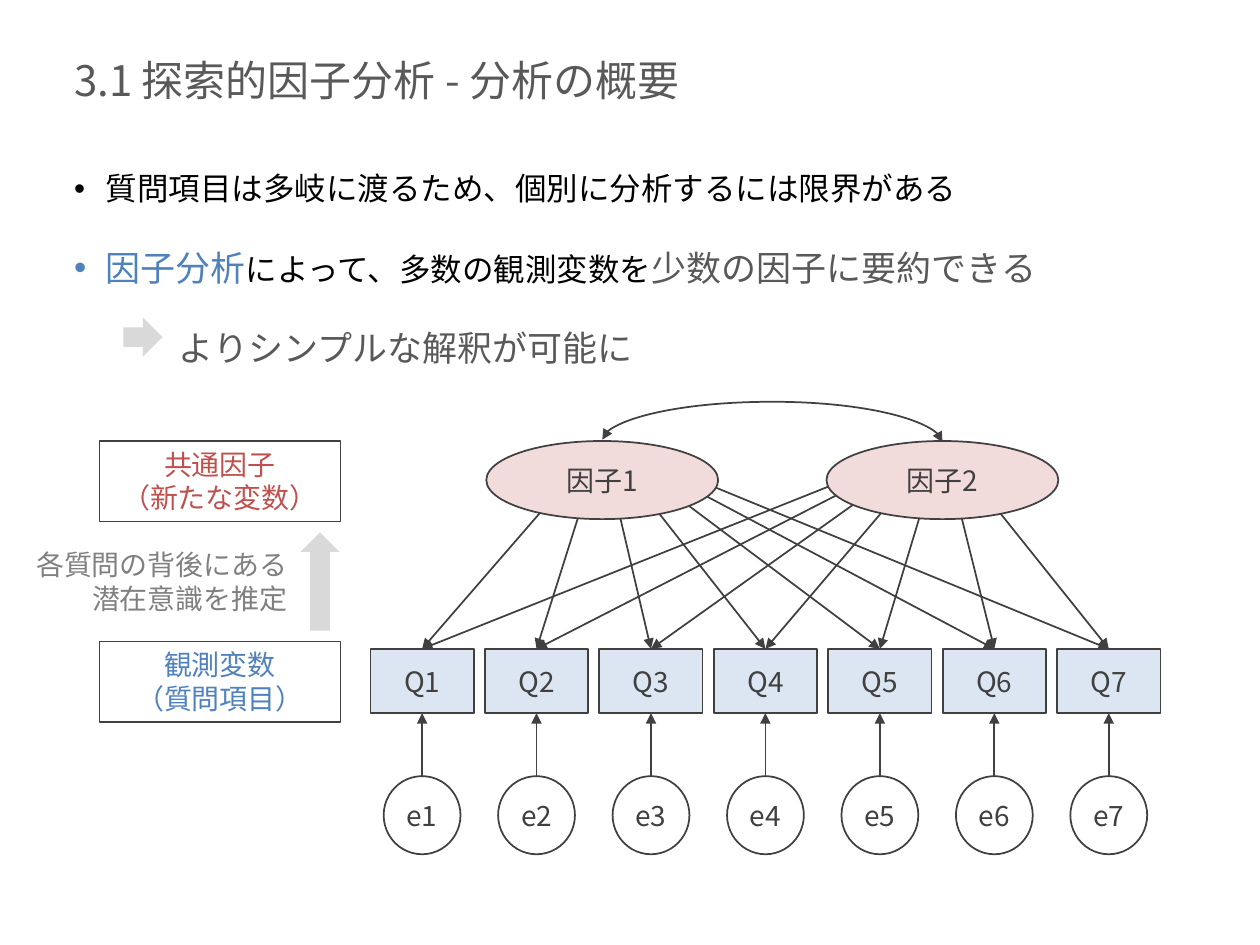
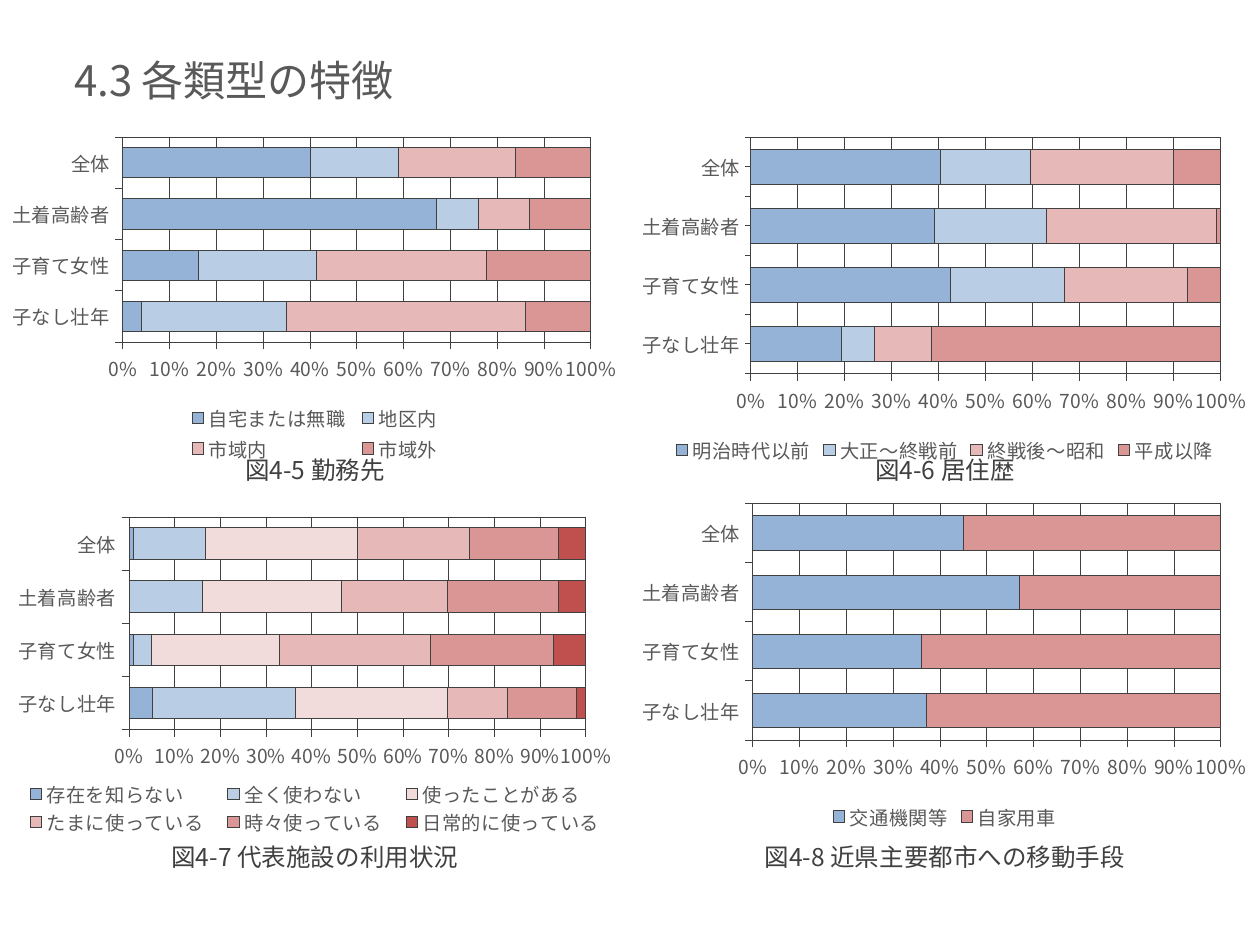
from lxml import etree
from pptx import Presentation
from pptx.chart.data import CategoryChartData
from pptx.dml.color import RGBColor
from pptx.enum.chart import XL_CHART_TYPE, XL_LEGEND_POSITION, XL_TICK_MARK
from pptx.enum.shapes import MSO_CONNECTOR, MSO_SHAPE
from pptx.enum.text import MSO_ANCHOR, PP_ALIGN
from pptx.oxml import parse_xml
from pptx.oxml.ns import nsdecls, qn
from pptx.util import Inches, Pt

FONT = "Noto Sans CJK JP"
WIDTH, HEIGHT = 10, 7.5

BLACK = RGBColor(0x00, 0x00, 0x00)
INK = RGBColor(0x40, 0x40, 0x40)
TEXT = RGBColor(0x59, 0x59, 0x59)
MUTED = RGBColor(0x80, 0x80, 0x80)
ARROW = RGBColor(0xD9, 0xD9, 0xD9)
WHITE = RGBColor(0xFF, 0xFF, 0xFF)
BLUE = RGBColor(0x4F, 0x81, 0xBD)
BLUE_MID = RGBColor(0x95, 0xB3, 0xD7)
BLUE_LIGHT = RGBColor(0xB9, 0xCD, 0xE5)
BLUE_PALE = RGBColor(0xDC, 0xE6, 0xF2)
RED = RGBColor(0xC0, 0x50, 0x4D)
RED_MID = RGBColor(0xD9, 0x96, 0x94)
RED_LIGHT = RGBColor(0xE6, 0xB9, 0xB8)
RED_PALE = RGBColor(0xF2, 0xDC, 0xDB)

LEFT, CENTER, RIGHT = PP_ALIGN.LEFT, PP_ALIGN.CENTER, PP_ALIGN.RIGHT
TOP, MIDDLE = MSO_ANCHOR.TOP, MSO_ANCHOR.MIDDLE
RECT, OVAL, BLOCK_ARROW = MSO_SHAPE.RECTANGLE, MSO_SHAPE.OVAL, MSO_SHAPE.RIGHT_ARROW
STRAIGHT, CURVE = MSO_CONNECTOR.STRAIGHT, MSO_CONNECTOR.CURVE
TICK_OUT, TICK_NONE = XL_TICK_MARK.OUTSIDE, XL_TICK_MARK.NONE

# Slide 1: a paragraph is (line spacing, indent, has bullet, spans of text, size, colour)
OVERVIEW_TITLE = "3.1 探索的因子分析 - 分析の概要"
OVERVIEW = [
    (0.9, 0.25, True, [("質問項目は多岐に渡るため、個別に分析するには限界がある", 18, BLACK)]),
    (1.5, 0.25, True, [("因子分析", 20, BLUE),
                       ("によって、多数の観測変数を", 18, BLACK),
                       ("少数の因子に要約できる", 20, TEXT)]),
    (1.5, 0.83, False, [("よりシンプルな解釈が可能に", 20, TEXT)]),
]
FACTORS = [("因子1", 4.78), ("因子2", 7.48)]
QUESTION_COUNT = 7
FIRST_CENTER, LAST_CENTER = 3.35, 8.8
FACTOR_TOP, QUESTION_TOP, ERROR_TOP = 3.5, 5.15, 6.16
FACTOR_SIZE, QUESTION_SIZE, ERROR_SIZE = (1.84, 0.62), (0.82, 0.51), (0.61, 0.62)
LABELS = [
    (["共通因子", "（新たな変数）"], RED, 3.5),
    (["観測変数", "（質問項目）"], BLUE, 5.09),
]
ESTIMATE = ["各質問の背後にある", "潜在意識を推定"]

# Slide 2: layouts are shares of the chart's size (left, top, width, height)
TYPES_TITLE = "4.3 各類型の特徴"
GROUPS = ["子なし壮年", "子育て女性", "土着高齢者", "全体"]
CHART_TOPS, CAPTION_TOPS = (1.04, 3.95), (3.56, 6.63)
CHARTS = [
    dict(caption="図4-5 勤務先", column=0, row=0, height=2.68, tick=TICK_OUT,
         plot=(0.195, 0.018, 0.743, 0.607), legend=(0.29, 0.8, 0.42, 0.19),
         series=[("自宅または無職", BLUE_MID, (4, 16, 67, 40)),
                 ("地区内", BLUE_LIGHT, (31, 25, 9, 19)),
                 ("市域内", RED_LIGHT, (51, 36, 11, 25)),
                 ("市域外", RED_MID, (14, 22, 13, 16))]),
    dict(caption="図4-6 居住歴", column=1, row=0, height=2.68, tick=TICK_NONE,
         plot=(0.192, 0.018, 0.746, 0.7), legend=None,
         series=[("明治時代以前", BLUE_MID, (19, 42, 39, 40)),
                 ("大正～終戦前", BLUE_LIGHT, (7, 24, 24, 19)),
                 ("終戦後～昭和", RED_LIGHT, (12, 26, 36, 30)),
                 ("平成以降", RED_MID, (61, 7, 1, 10))]),
    dict(caption="図4-8 近県主要都市への移動手段", column=1, row=1, height=2.68, tick=TICK_OUT,
         plot=(0.195, 0.018, 0.743, 0.7), legend=None,
         series=[("交通機関等", BLUE_MID, (37, 36, 57, 45)),
                 ("自家用車", RED_MID, (63, 64, 43, 55))]),
    dict(caption="図4-7 代表施設の利用状況", column=0, row=1, height=2.95, tick=TICK_OUT,
         plot=(0.205, 0.052, 0.725, 0.571), legend=(0.02, 0.76, 0.96, 0.15),
         series=[("存在を知らない", BLUE_MID, (5, 1, 0, 1)),
                 ("全く使わない", BLUE_LIGHT, (31, 4, 16, 16)),
                 ("使ったことがある", RED_PALE, (33, 28, 30, 34)),
                 ("たまに使っている", RED_LIGHT, (13, 33, 23, 25)),
                 ("時々使っている", RED_MID, (15, 27, 24, 20)),
                 ("日常的に使っている", RED, (2, 7, 6, 6))]),
]


def set_font(font, size, color):
    font.size, font.name = Pt(size), FONT
    font.color.rgb = color


def add_span(para, text, size, color):
    span = para.add_run()
    span.text = text
    set_font(span.font, size, color)
    east_asian = etree.SubElement(span.font._element, qn("a:ea"))
    east_asian.set("typeface", FONT)


def write_lines(frame, lines, size, color, align=CENTER, anchor=MIDDLE):
    frame.word_wrap = True
    frame.vertical_anchor = anchor
    for index, line in enumerate(lines):
        para = frame.add_paragraph() if index else frame.paragraphs[0]
        para.alignment = align
        add_span(para, line, size, color)


def add_box(page, left, top, width, height):
    return page.shapes.add_textbox(Inches(left), Inches(top), Inches(width), Inches(height))


def add_title(page, text):
    frame = add_box(page, 0.49, 0.4, 8.62, 0.52).text_frame
    write_lines(frame, [text], 24, TEXT, LEFT)
    frame.paragraphs[0].line_spacing = 0.9


def add_figure(page, kind, left, top, size, fill=None, line=None, weight=1):
    shape = page.shapes.add_shape(kind, Inches(left), Inches(top), *map(Inches, size))
    shape.shadow.inherit = False
    if fill is None:
        shape.fill.background()
    else:
        shape.fill.solid()
        shape.fill.fore_color.rgb = fill
    if line is None:
        shape.line.fill.background()
    else:
        shape.line.color.rgb = line
        shape.line.width = Pt(weight)
    return shape


def add_node(page, kind, center, top, size, fill, text):
    node = add_figure(page, kind, center - size[0] / 2, top, size, fill, INK)
    frame = node.text_frame
    frame.margin_left = frame.margin_right = frame.margin_top = frame.margin_bottom = 0
    write_lines(frame, [text], 16, INK)


def add_arrow(page, start, end, kind=STRAIGHT, ends=("tailEnd",)):
    arrow = page.shapes.add_connector(kind, *map(Inches, (*start, *end)))
    arrow.line.color.rgb = INK
    arrow.line.width = Pt(1)
    for end_name in ends:
        etree.SubElement(arrow.line._get_or_add_ln(), qn("a:" + end_name)).set("type", "triangle")
    etree.SubElement(arrow._element.spPr, qn("a:effectLst"))
    return arrow


def add_correlation(page):
    """Arc over the two factors: a thin upright curve turned a quarter to the left."""
    (_, first), (_, second) = FACTORS
    middle, half, lean = (first + second) / 2, (second - first) / 2, 0.01
    arc = add_arrow(page, (middle - lean, FACTOR_TOP - half), (middle + lean, FACTOR_TOP + half),
                    CURVE, ("headEnd", "tailEnd"))
    properties = arc._element.spPr
    frame = properties.find(qn("a:xfrm"))
    frame.set("rot", str(270 * 60000))
    frame.set("flipV", "1")
    geometry = properties.find(qn("a:prstGeom"))
    guides = geometry.find(qn("a:avLst"))
    if guides is None:
        guides = etree.SubElement(geometry, qn("a:avLst"))
    guide = etree.SubElement(guides, qn("a:gd"))
    guide.set("name", "adj1")
    guide.set("fmla", "val 1600000")


def add_overview(page):
    frame = add_box(page, 0.49, 1.33, 8.99, 1.8).text_frame
    frame.word_wrap = True
    for index, (spacing, indent, bullet, spans) in enumerate(OVERVIEW):
        para = frame.add_paragraph() if index else frame.paragraphs[0]
        para.line_spacing = spacing
        para.space_before = Pt(10)
        properties = para._p.get_or_add_pPr()
        properties.set("marL", str(Inches(indent)))
        if bullet:
            properties.set("indent", str(-Inches(indent)))
            etree.SubElement(properties, qn("a:buFont")).set("typeface", "Arial")
            etree.SubElement(properties, qn("a:buChar")).set("char", "•")
        for span in spans:
            add_span(para, *span)
    add_figure(page, BLOCK_ARROW, 0.98, 2.52, (0.31, 0.31), ARROW)


def add_factor_model(page):
    pitch = (LAST_CENTER - FIRST_CENTER) / (QUESTION_COUNT - 1)
    centers = [FIRST_CENTER + pitch * index for index in range(QUESTION_COUNT)]
    for number, center in enumerate(centers, 1):
        add_node(page, RECT, center, QUESTION_TOP, QUESTION_SIZE, BLUE_PALE, f"Q{number}")
        add_node(page, OVAL, center, ERROR_TOP, ERROR_SIZE, WHITE, f"e{number}")
        add_arrow(page, (center, ERROR_TOP), (center, QUESTION_TOP + QUESTION_SIZE[1]))
        for _, factor_center in FACTORS:
            add_arrow(page, (factor_center, FACTOR_TOP), (center, QUESTION_TOP))
    for name, center in FACTORS:
        add_node(page, OVAL, center, FACTOR_TOP, FACTOR_SIZE, RED_PALE, name)
    add_correlation(page)


def add_side_labels(page):
    for lines, color, top in LABELS:
        label = add_figure(page, RECT, 0.79, top, (1.91, 0.64), None, INK, 0.75)
        write_lines(label.text_frame, lines, 16, color, CENTER, TOP)
    add_figure(page, BLOCK_ARROW, 2.15, 4.46, (0.78, 0.31), ARROW).rotation = 270
    write_lines(add_box(page, 0.04, 4.3, 2.34, 0.64).text_frame, ESTIMATE, 16, MUTED, RIGHT, TOP)


def place(element, shares, inner=False):
    """Fix the plot area or the legend of a chart at shares of the chart's size."""
    target = '<c:layoutTarget val="inner"/>' if inner else ""
    values = "".join(f'<c:{key} val="{share}"/>' for key, share in zip("xywh", shares))
    for old in element.findall(qn("c:layout")):
        element.remove(old)
    layout = parse_xml(f'<c:layout {nsdecls("c")}><c:manualLayout>{target}'
                       f'<c:xMode val="edge"/><c:yMode val="edge"/>{values}'
                       '</c:manualLayout></c:layout>')
    position = element.find(qn("c:legendPos"))
    if position is None:
        element.insert(0, layout)
    else:
        position.addnext(layout)


def thin_line(line):
    line.color.rgb = INK
    line.width = Pt(0.5)


def add_share_chart(page, item):
    data = CategoryChartData()
    data.categories = GROUPS
    for name, _, values in item["series"]:
        data.add_series(name, values)
    chart = page.shapes.add_chart(
        XL_CHART_TYPE.BAR_STACKED_100, Inches(item["column"] * WIDTH / 2),
        Inches(CHART_TOPS[item["row"]]), Inches(WIDTH / 2), Inches(item["height"]), data).chart
    chart.has_title = False
    set_font(chart.font, 11, TEXT)

    plot = chart.plots[0]
    plot.gap_width, plot.overlap, plot.vary_by_categories = 70, 100, False
    for series, (_, color, _) in zip(plot.series, item["series"]):
        series.format.fill.solid()
        series.format.fill.fore_color.rgb = color
        thin_line(series.format.line)

    groups, shares = chart.category_axis, chart.value_axis
    for axis in (groups, shares):
        axis.major_tick_mark = TICK_OUT
        set_font(axis.tick_labels.font, 11, TEXT)
        thin_line(axis.format.line)
    groups.major_tick_mark = item["tick"]
    groups.minor_tick_mark = TICK_OUT if item["tick"] == TICK_NONE else TICK_NONE
    shares.minimum_scale, shares.maximum_scale, shares.major_unit = 0, 1, 0.1
    shares.tick_labels.number_format = "0%"
    shares.tick_labels.number_format_is_linked = False
    shares.has_major_gridlines = True
    thin_line(shares.major_gridlines.format.line)

    chart.has_legend = True
    legend = chart.legend
    legend.position, legend.include_in_layout = XL_LEGEND_POSITION.BOTTOM, False
    set_font(legend.font, 11, TEXT)
    if item["legend"]:
        place(legend._element, item["legend"])
    area = chart._chartSpace.chart.plotArea
    place(area, item["plot"], inner=True)
    area.append(parse_xml(
        f'<c:spPr {nsdecls("c", "a")}><a:noFill/><a:ln w="{Pt(0.5)}"><a:solidFill>'
        f'<a:srgbClr val="{INK}"/></a:solidFill></a:ln></c:spPr>'))


def add_caption(page, item):
    box = add_box(page, item["column"] * WIDTH / 2, CAPTION_TOPS[item["row"]], WIDTH / 2, 0.34)
    write_lines(box.text_frame, [item["caption"]], 14, INK, CENTER, TOP)


def main():
    deck = Presentation()
    deck.slide_width, deck.slide_height = Inches(WIDTH), Inches(HEIGHT)
    blank = deck.slide_layouts[6]

    page = deck.slides.add_slide(blank)
    add_title(page, OVERVIEW_TITLE)
    add_overview(page)
    add_factor_model(page)
    add_side_labels(page)

    page = deck.slides.add_slide(blank)
    add_title(page, TYPES_TITLE)
    for item in CHARTS:
        add_share_chart(page, item)
    for item in CHARTS:
        add_caption(page, item)

    deck.save("out.pptx")


if __name__ == "__main__":
    main()
